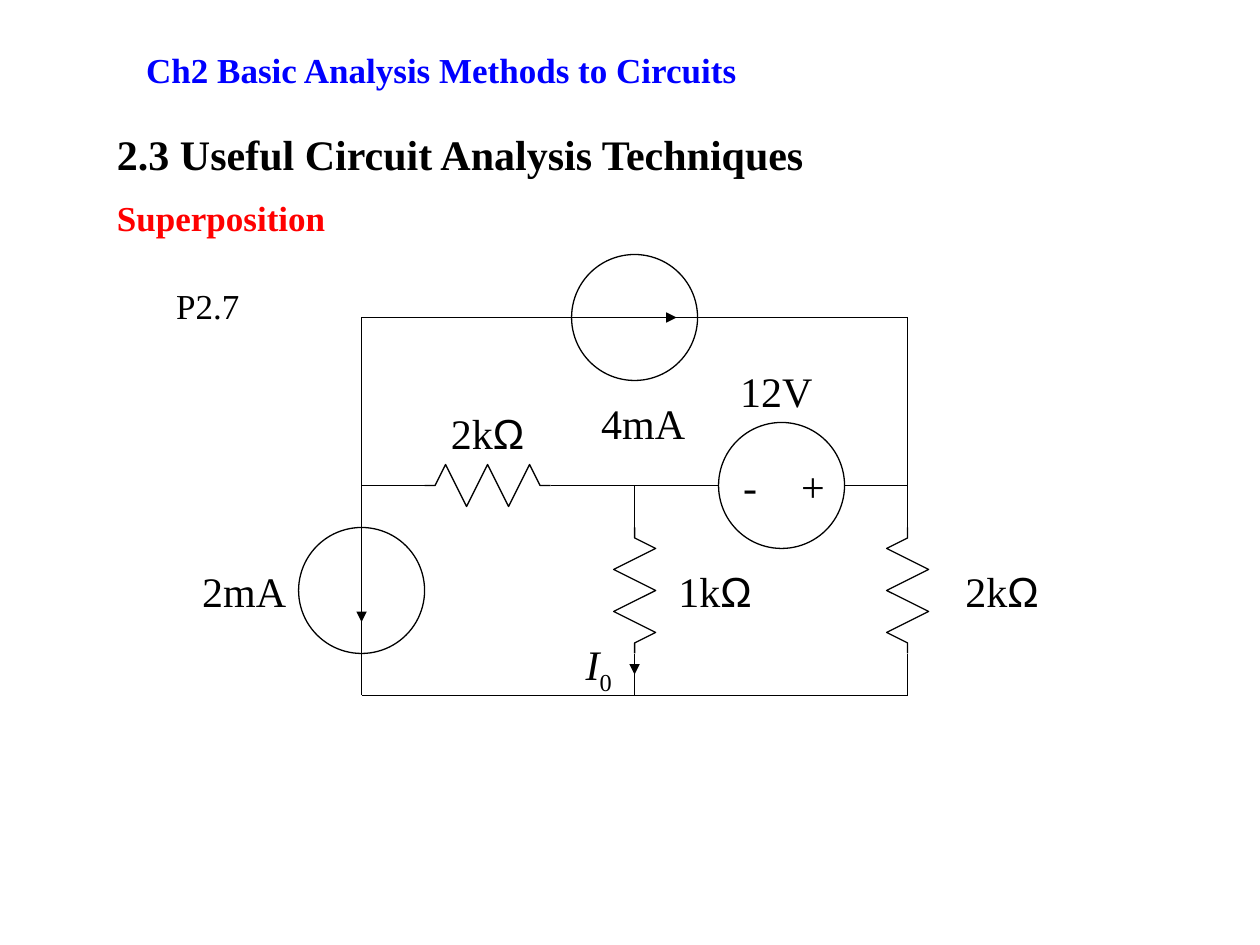
from typing import NamedTuple

from lxml import etree
from pptx import Presentation, util as u
from pptx.dml.color import RGBColor
from pptx.enum import shapes, text
from pptx.oxml.ns import qn

COLORS = {"chapter": "0000FF", "topic": "FF0000", "ink": "000000"}
SERIF, SANS = "Times New Roman", "Arial"
WIDTH, HEIGHT = u.Inches(10), u.Inches(7.5)
UNIT = u.Inches(1) / 6
ORIGIN_X, ORIGIN_Y = u.Inches(2.87), u.Inches(2.52)
LEFT, CENTER, RIGHT = text.PP_ALIGN.LEFT, text.PP_ALIGN.CENTER, text.PP_ALIGN.RIGHT

# Circuit columns and rows, in grid units from the top left corner
WEST, MIDDLE, EAST = 0, 13, 26
TOP, CENTRE, BOTTOM = 0, 8, 18
ZIGZAG = [(0, 0), (0.5, 0), (1, 1), (2, -1), (3, 1), (4, -1), (5, 1), (5.5, 0), (6, 0)]


class Heading(NamedTuple):
    """A line of text placed by shares of the slide's size."""
    words: str
    left: float
    top: float
    width: float
    height: float
    size: int
    color: str
    bold: bool


class Label(NamedTuple):
    words: str
    col: float
    row: float
    cols: float
    align: text.PP_ALIGN = CENTER
    suffix: str = ""


class Wire(NamedTuple):
    start: tuple[float, float]
    end: tuple[float, float]
    arrow: bool = False


class Resistor(NamedTuple):
    col: float
    row: float
    vertical: bool
    side: int


CHAPTER = Heading("Ch2 Basic Analysis Methods to Circuits",
                  0.106, 0.037, 0.819, 0.073, 20, "chapter", True)
HEADINGS = [
    Heading("2.3 Useful Circuit Analysis Techniques", 0.083, 0.129, 0.608, 0.067, 24, "ink", True),
    Heading("Superposition", 0.083, 0.201, 0.473, 0.059, 20, "topic", True),
    Heading("P2.7", 0.13, 0.295, 0.11, 0.059, 20, "ink", False),
]
SOURCES = [(MIDDLE, TOP), (20, CENTRE), (WEST, 12.5 + 0.5)]
RESISTORS = [
    Resistor(3.5 - 0.5, CENTRE, False, -1),
    Resistor(MIDDLE, 10, True, 1),
    Resistor(EAST, 10, True, -1),
]
WIRES = [
    Wire((WEST, TOP), (EAST, TOP)),
    Wire((WEST, BOTTOM), (EAST, BOTTOM)),
    Wire((WEST, TOP), (WEST, BOTTOM)),
    Wire((EAST, TOP), (EAST, 10)),
    Wire((EAST, 16), (EAST, BOTTOM)),
    Wire((MIDDLE, CENTRE), (MIDDLE, 10)),
    Wire((MIDDLE, 16), (MIDDLE, BOTTOM)),
    Wire((WEST, CENTRE), (3, CENTRE)),
    Wire((9, CENTRE), (17, CENTRE)),
    Wire((23, CENTRE), (EAST, CENTRE)),
    Wire((11, TOP), (15, TOP), True),
    Wire((WEST, 11.5), (WEST, 14.5), True),
    Wire((MIDDLE, 16), (MIDDLE, 17), True),
]
CURRENT = Label("I", 9, 15, 3.5, RIGHT, "0")
LABELS = [
    Label("2k", 3, 4, 6, suffix="Ω"),
    Label("1k", 14.5, 11.5, 6, LEFT, "Ω"),
    Label("2k", 27.5, 11.5, 6, suffix="Ω"),
    Label("12V", 17, 2, 5.5),
    Label("-", 17, 6.5, 3),
    Label("+", 20, 6.5, 3),
    Label("2mA", -8.5, 11.5, 5.5, RIGHT),
    Label("4mA", 10.5, 3.5, 5.5, RIGHT),
    CURRENT,
]


def spot(col: float, row: float) -> tuple[int, int]:
    """Slide position of a grid point."""
    return round(ORIGIN_X + col * UNIT), round(ORIGIN_Y + row * UNIT)


def style_font(font, size: int, color: str, bold: bool = False, name: str = SERIF) -> None:
    font.name, font.size, font.bold = name, u.Pt(size), bold
    font.color.rgb = RGBColor.from_string(COLORS[color])


def style_line(shape) -> None:
    shape.line.color.rgb = RGBColor.from_string(COLORS["ink"])
    shape.line.width = u.Pt(0.75)


def fill_heading(box, heading: Heading) -> None:
    box.left, box.width = round(heading.left * WIDTH), round(heading.width * WIDTH)
    box.top, box.height = round(heading.top * HEIGHT), round(heading.height * HEIGHT)
    frame = box.text_frame
    frame.text = heading.words
    frame.word_wrap = True
    frame.auto_size = text.MSO_AUTO_SIZE.NONE
    para = frame.paragraphs[0]
    para.alignment = LEFT
    style_font(para.runs[0].font, heading.size, heading.color, heading.bold)


def draw_label(page, label: Label):
    box = page.shapes.add_textbox(*spot(label.col, label.row),
                                  round(label.cols * UNIT), round(3 * UNIT))
    box.text_frame.word_wrap = True
    box.text_frame.text = label.words
    para = box.text_frame.paragraphs[0]
    para.alignment = label.align
    if label.suffix:
        para.add_run().text = label.suffix
    for span in para.runs:
        style_font(span.font, 24, "ink", name=SANS if span.text == "Ω" else SERIF)
    return para


def draw_wire(page, wire: Wire) -> None:
    line = page.shapes.add_connector(shapes.MSO_CONNECTOR.STRAIGHT,
                                     *spot(*wire.start), *spot(*wire.end))
    style_line(line)
    if wire.arrow:
        etree.SubElement(line.line._get_or_add_ln(), qn("a:tailEnd"), type="triangle")
    etree.SubElement(line._element.spPr, qn("a:effectLst"))


def draw_resistor(page, resistor: Resistor) -> None:
    points = []
    for along, across in ZIGZAG:
        across *= resistor.side
        step = (across, along) if resistor.vertical else (along, across)
        points.append(spot(resistor.col + step[0], resistor.row + step[1]))
    builder = page.shapes.build_freeform(*points[0])
    builder.add_line_segments(points[1:], close=False)
    zigzag = builder.convert_to_shape()
    zigzag.shadow.inherit = False
    zigzag.fill.background()
    style_line(zigzag)


def draw_source(page, col: float, row: float) -> None:
    """Circle of one inch around a grid point."""
    size = round(6 * UNIT)
    circle = page.shapes.add_shape(shapes.MSO_SHAPE.OVAL, *spot(col - 3, row - 3), size, size)
    circle.shadow.inherit = False
    circle.fill.background()
    style_line(circle)


def main() -> None:
    deck = Presentation()
    deck.slide_width, deck.slide_height = WIDTH, HEIGHT
    page = deck.slides.add_slide(deck.slide_layouts[5])
    title = page.shapes.title
    fill_heading(title, CHAPTER)
    title.text_frame.vertical_anchor = text.MSO_ANCHOR.MIDDLE
    for heading in HEADINGS:
        fill_heading(page.shapes.add_textbox(0, 0, 0, 0), heading)
    for source in SOURCES:
        draw_source(page, *source)
    for resistor in RESISTORS:
        draw_resistor(page, resistor)
    for wire in WIRES:
        draw_wire(page, wire)
    for label in LABELS:
        para = draw_label(page, label)
        if label is CURRENT:
            symbol, subscript = para.runs
            symbol.font.italic = True
            subscript.font._element.set("baseline", "-25000")
    deck.save("out.pptx")


if __name__ == "__main__":
    main()
